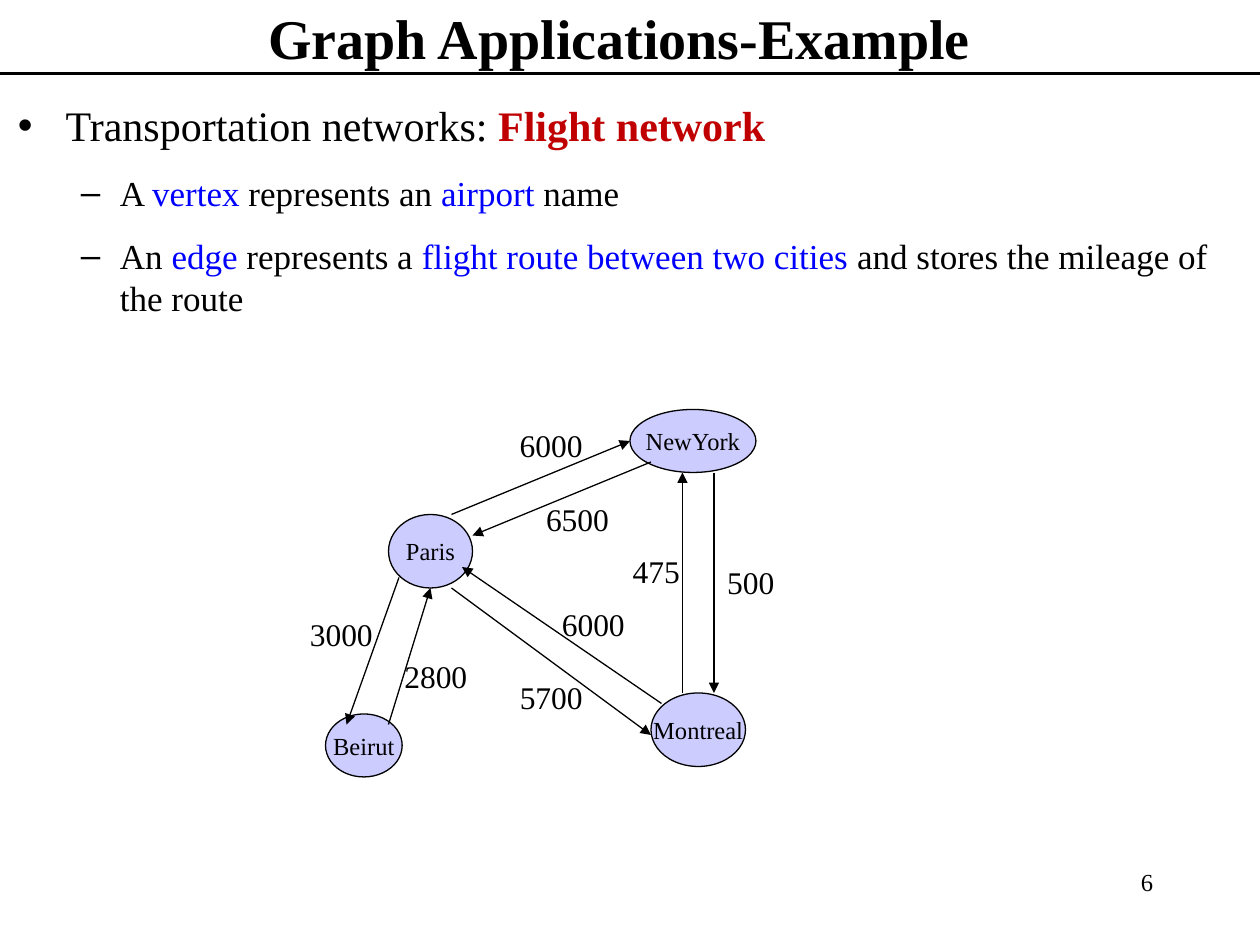
"""Builds the flight network slide on a grid of 120 columns by 90 rows."""
from lxml import etree
from pptx import Presentation
from pptx import util as u
from pptx.dml.color import RGBColor
from pptx.enum import shapes, text
from pptx.oxml.ns import qn

COLORS = {"ink": "000000", "node": "CCCCFF", "term": "0000FF", "topic": "C00000", "paper": "FFFFFF"}
FONT = "Times New Roman"

prs = Presentation()
prs.slide_width, prs.slide_height = u.Inches(10), u.Inches(7.5)
CELL = prs.slide_width / 120
s = prs.slides.add_slide(prs.slide_layouts[1])
s.background.fill.solid()
s.background.fill.fore_color.rgb = RGBColor.from_string(COLORS["paper"])


def grid(*cells):
    return [u.Emu(round(c * CELL)) for c in cells]


def style(p, size, align=text.PP_ALIGN.CENTER, bold=False):
    p.alignment = align
    p.font.name, p.font.size, p.font.bold = FONT, u.Pt(size), bold
    p.font.color.rgb = RGBColor.from_string(COLORS["ink"])


title, body = s.shapes.title, s.placeholders[1]
title.left, title.top, title.width, title.height = grid(8, 0, 102, 7)
tf = title.text_frame
tf.text = "Graph Applications-Example"
tf.auto_size = text.MSO_AUTO_SIZE.NONE
tf.vertical_anchor = text.MSO_ANCHOR.MIDDLE
style(tf.paragraphs[0], 32, bold=True)

body.left, body.top, body.width, body.height = grid(0.5, 8.9, 118.5, 25)
tf = body.text_frame
tf.auto_size = text.MSO_AUTO_SIZE.NONE
# level, then (words, colour) runs
points = [
    (0, [("Transportation networks: ", "ink"), ("Flight network", "topic")]),
    (1, [("A ", "ink"), ("vertex", "term"), (" represents an ", "ink"),
         ("airport", "term"), (" name", "ink")]),
    (1, [("An ", "ink"), ("edge", "term"), (" represents a ", "ink"),
         ("flight route between two cities", "term"),
         (" and stores the mileage of the route", "ink")]),
]
levels = [(24, 0.38, 0.38, "•"), (20, 0.81, 0.31, "–")]
for i, (level, runs) in enumerate(points):
    p = tf.paragraphs[0] if i == 0 else tf.add_paragraph()
    size, margin, hang, bullet = levels[level]
    p.level, p.space_before = level, u.Pt(12)
    style(p, size, text.PP_ALIGN.LEFT)
    pPr = p._p.get_or_add_pPr()
    pPr.set("marL", str(u.Inches(margin)))
    pPr.set("indent", str(-u.Inches(hang)))
    bu = etree.Element(qn("a:buChar"), char=bullet)
    pPr.find(qn("a:defRPr")).addprevious(bu)
    for words, color in runs:
        r = p.add_run()
        r.text = words
        r.font.color.rgb = RGBColor.from_string(COLORS[color])
        if color == "topic":
            r.font.bold = True

airports = [("Beirut", 31, 68, 7.3, 6), ("Montreal", 62, 66, 9, 7),
            ("Paris", 37, 49, 8, 7), ("NewYork", 60, 39, 12, 6)]
for name, *box in airports:
    sp = s.shapes.add_shape(shapes.MSO_SHAPE.OVAL, *grid(*box))
    sp.shadow.inherit = False
    sp.fill.solid()
    sp.fill.fore_color.rgb = RGBColor.from_string(COLORS["node"])
    sp.line.color.rgb = RGBColor.from_string(COLORS["ink"])
    sp.line.width = u.Pt(0.75)
    tf = sp.text_frame
    tf.text, tf.word_wrap = name, False
    tf.vertical_anchor = text.MSO_ANCHOR.MIDDLE
    style(tf.paragraphs[0], 14)

routes = [(43, 56, 62, 70), (43, 49, 60, 42), (65, 66, 65, 45), (62, 44, 45, 51),
          (63, 67, 44, 54), (68, 45, 68, 66), (38, 55, 33, 69), (37, 69, 41, 56)]
title_rule = (0, 7, 120, 7)
for ends in routes + [title_rule]:
    cx = s.shapes.add_connector(shapes.MSO_CONNECTOR.STRAIGHT, *grid(*ends))
    cx.line.color.rgb = RGBColor.from_string(COLORS["ink"])
    cx.line.width = u.Pt(2.25 if ends == title_rule else 0.75)
    if ends != title_rule:
        etree.SubElement(cx.line._get_or_add_ln(), qn("a:tailEnd"), type="triangle")
    etree.SubElement(cx._element.spPr, qn("a:effectLst"))

mileages = [("6000", 47, 40, 11), ("6500", 50, 47, 10), ("3000", 28, 58, 9),
            ("5700", 48, 64, 9), ("2800", 37, 62, 9), ("6000", 52, 57, 9),
            ("500", 67, 53, 9), ("475", 58, 52, 9)]
labels = [(words, (x, y, w, 4.8), 18, text.PP_ALIGN.CENTER) for words, x, y, w in mileages]
labels.append(("6", (86, 82, 25, 6), 14, text.PP_ALIGN.RIGHT))
for words, box, size, align in labels:
    tf = s.shapes.add_textbox(*grid(*box)).text_frame
    tf.text, tf.word_wrap = words, True
    style(tf.paragraphs[0], size, align)

prs.save("out.pptx")
